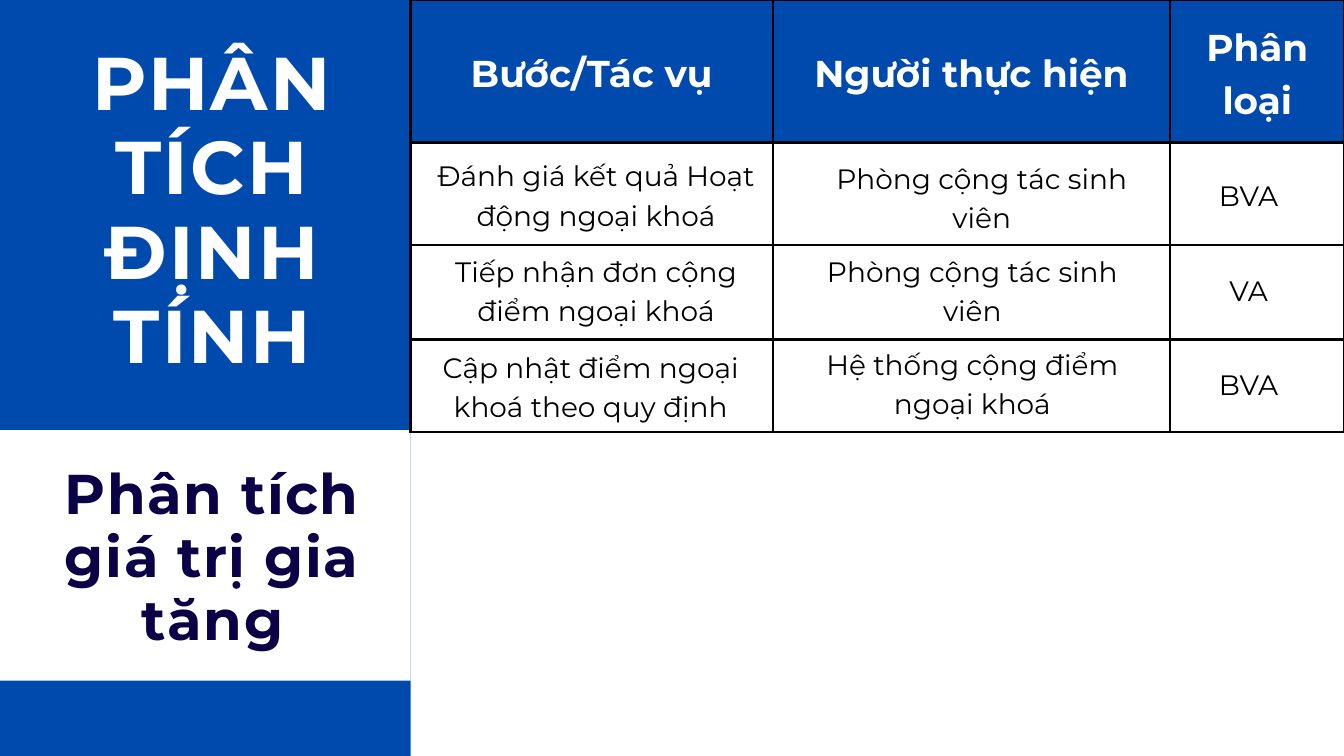
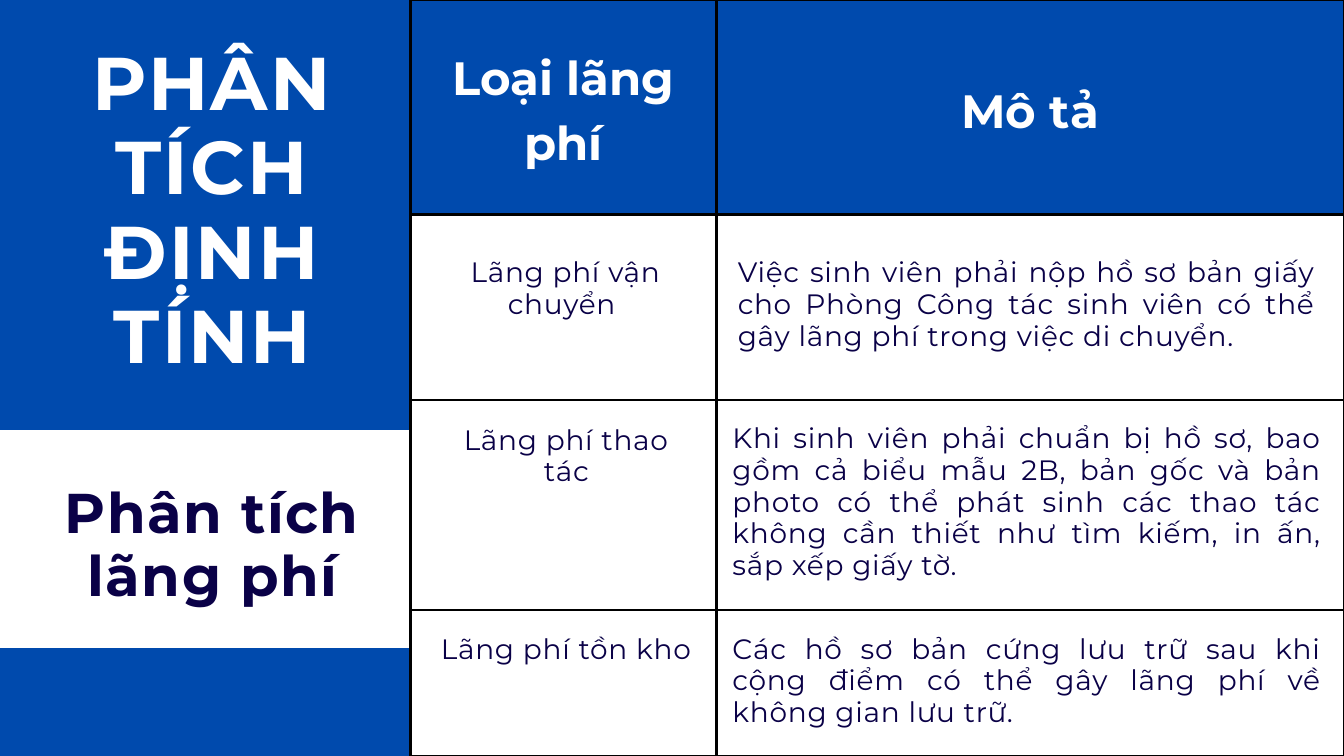
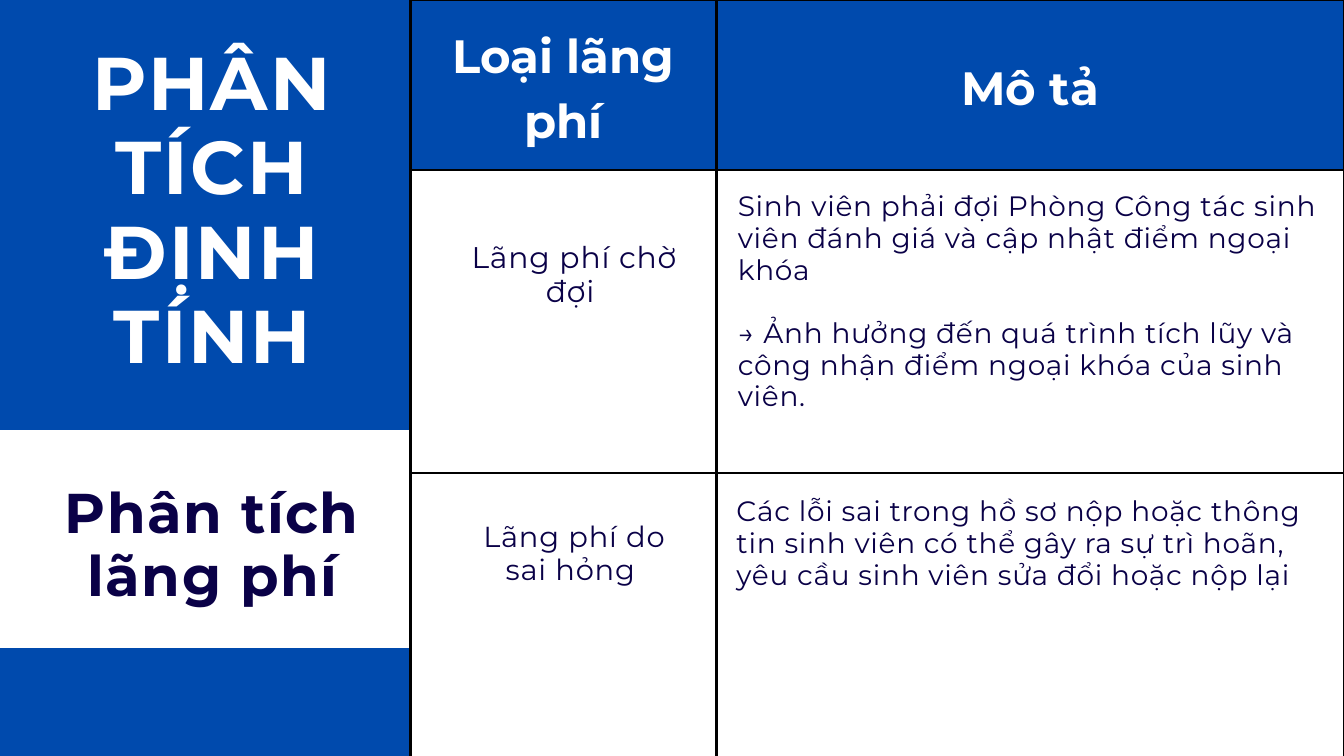
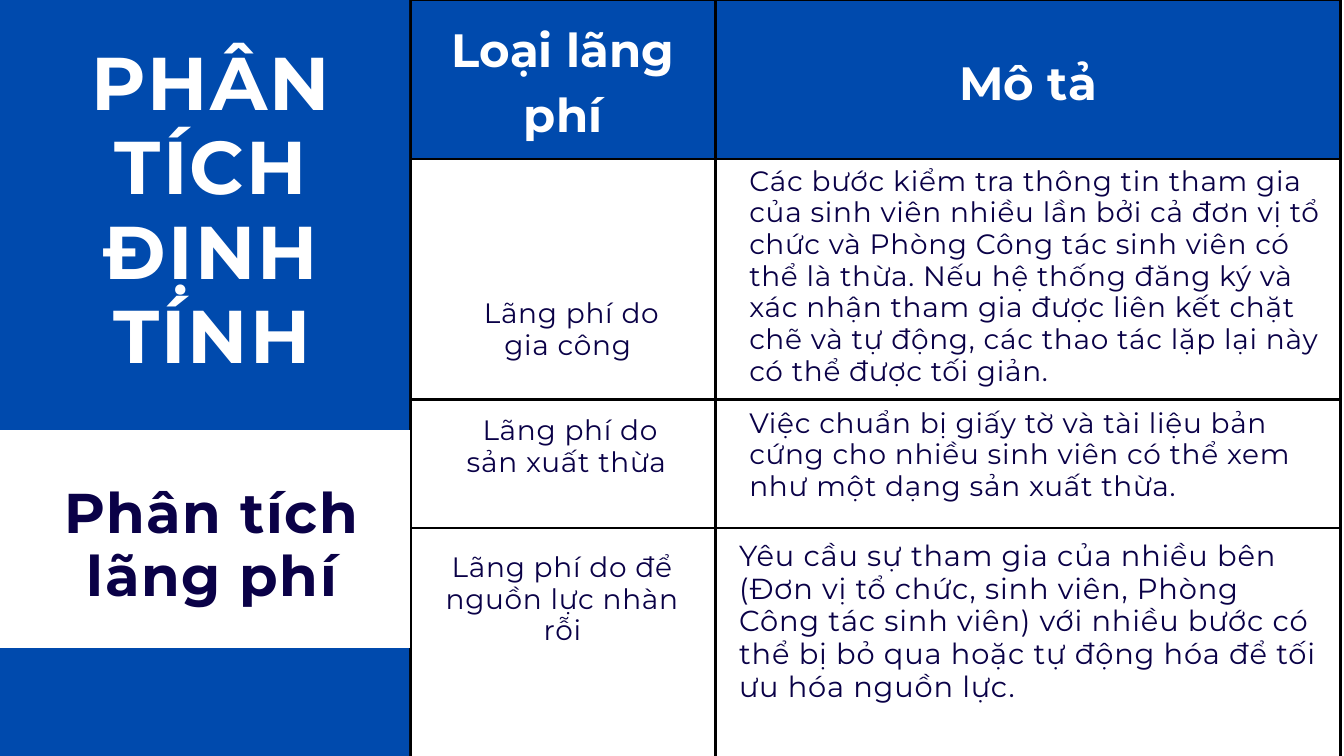
from dataclasses import dataclass, replace

from lxml.etree import SubElement
from pptx import Presentation
from pptx.dml.color import RGBColor
from pptx.enum.shapes import MSO_SHAPE
from pptx.enum.text import MSO_ANCHOR, MSO_AUTO_SIZE, PP_ALIGN
from pptx.oxml.ns import qn
from pptx.slide import Slide
from pptx.table import _Cell as Cell
from pptx.text.text import TextFrame
from pptx.util import Inches, Pt

BLUE = RGBColor(0x00, 0x4A, 0xAD)
NAVY = RGBColor(0x0A, 0x01, 0x47)
WHITE = RGBColor(0xFF, 0xFF, 0xFF)
BLACK = RGBColor(0x00, 0x00, 0x00)
FONT = "Montserrat"
TITLE = "PHÂN TÍCH ĐỊNH TÍNH"
SLIDE_HEIGHT = 11.25
BAND_TOP = 6.4
TABLE_LEFT = 6.11
CELL_MARGIN = Inches(0.21)
BORDER_WIDTH = Pt(3)


@dataclass(frozen=True)
class TextStyle:
    """Type settings; leading and tracking are multiples of the size."""

    size: int
    color: RGBColor = NAVY
    bold: bool = False
    align: PP_ALIGN = PP_ALIGN.CENTER
    leading: float = 1.13
    tracking: float = 0.028


@dataclass(frozen=True)
class Box:
    """A rectangle in inches."""

    left: float
    top: float
    width: float
    height: float


@dataclass(frozen=True)
class Note:
    """Text laid over a table cell."""

    box: Box
    text: str
    style: TextStyle


@dataclass(frozen=True)
class Sidebar:
    """The blue column on the left with its white subtitle band."""

    subtitle: str
    subtitle_top: float
    subtitle_height: float
    band: Box
    shift: float = 0


@dataclass(frozen=True)
class Grid:
    """A ruled table whose header row is the only one with cell text."""

    headers: tuple[str, ...]
    header_size: int
    columns: tuple[float, ...]
    rows: tuple[float, ...]


@dataclass(frozen=True)
class Page:
    """Everything on one slide."""

    sidebar: Sidebar
    grid: Grid
    notes: tuple[Note, ...]
    sidebar_in_front: bool = False


TITLE_STYLE = TextStyle(80, WHITE, bold=True)
SUBTITLE_STYLE = TextStyle(60, bold=True)
TASK = TextStyle(30, BLACK, leading=1.4, tracking=0)
KIND = TextStyle(30)
DETAIL = replace(KIND, align=PP_ALIGN.LEFT)
JUSTIFIED = replace(KIND, align=PP_ALIGN.JUSTIFY)

VALUE_SIDEBAR = Sidebar("Phân tích giá trị gia tăng", 6.88, 2.82, Box(-0.61, BAND_TOP, 6.72, 3.73))
WASTE_SIDEBAR = Sidebar("Phân tích lãng phí", 7.16, 1.88, Box(-0.61, BAND_TOP, 6.98, 3.24))
LAST_SIDEBAR = replace(WASTE_SIDEBAR, band=Box(-0.61, BAND_TOP, 6.73, 3.24), shift=-0.02)


def waste_grid(*rows: float, columns: tuple[float, float] = (4.55, 9.34)) -> Grid:
    """Return the grid that lists kinds of waste."""
    return Grid(("Loại lãng phí", "Mô tả"), 50, columns, rows)


PAGES = (
    Page(
        VALUE_SIDEBAR,
        Grid(("Bước/Tác vụ", "Người thực hiện", "Phân loại"), 40, (5.39, 5.91, 2.6), (2.12, 1.53, 1.4, 1.38)),
        (
            Note(Box(6.24, 2.28, 5.26, 1.15), "Đánh giá kết quả Hoạt động ngoại khoá", TASK),
            Note(Box(11.98, 2.32, 5.26, 1.15), "Phòng cộng tác sinh viên", TASK),
            Note(Box(17.88, 2.57, 1.4, 0.56), "BVA", TASK),
            Note(Box(6.32, 3.7, 5.1, 1.15), "Tiếp nhận đơn cộng điểm ngoại khoá", TASK),
            Note(Box(11.84, 3.7, 5.26, 1.15), "Phòng cộng tác sinh viên", TASK),
            Note(Box(17.88, 3.99, 1.4, 0.56), "VA", TASK),
            Note(Box(6.24, 5.13, 5.1, 1.15), "Cập nhật điểm ngoại khoá theo quy định", TASK),
            Note(Box(11.84, 5.09, 5.26, 1.15), "Hệ thống cộng điểm ngoại khoá", TASK),
            Note(Box(17.88, 5.38, 1.4, 0.56), "BVA", TASK),
        ),
    ),
    Page(
        WASTE_SIDEBAR,
        waste_grid(3.19, 2.76, 3.13, 2.17),
        (
            Note(Box(6.6, 3.82, 3.64, 0.94), "Lãng phí vận chuyển ", KIND),
            Note(
                Box(10.98, 3.82, 8.6, 1.43),
                "Việc sinh viên phải nộp hồ sơ bản giấy cho Phòng Công tác sinh viên "
                "có thể gây lãng phí trong việc di chuyển. ",
                JUSTIFIED,
            ),
            Note(Box(6.73, 6.31, 3.4, 0.94), "Lãng phí thao tác", KIND),
            Note(
                Box(10.9, 6.29, 8.77, 2.38),
                "Khi sinh viên phải chuẩn bị hồ sơ, bao gồm cả biểu mẫu 2B, bản gốc và bản photo "
                "có thể phát sinh các thao tác không cần thiết như tìm kiếm, in ấn, sắp xếp giấy tờ.",
                JUSTIFIED,
            ),
            Note(Box(6.16, 9.42, 4.53, 0.47), "Lãng phí tồn kho", KIND),
            Note(
                Box(10.9, 9.42, 8.77, 1.43),
                "Các hồ sơ bản cứng lưu trữ sau khi cộng điểm có thể gây lãng phí về không gian lưu trữ.",
                JUSTIFIED,
            ),
        ),
    ),
    Page(
        WASTE_SIDEBAR,
        waste_grid(2.53, 4.51, 4.85),
        (
            Note(Box(6.73, 3.58, 3.64, 1.51), "Lãng phí chờ đợi ", replace(KIND, size=32)),
            Note(
                Box(10.98, 2.84, 8.64, 3.81),
                "Sinh viên phải đợi Phòng Công tác sinh viên đánh giá và cập nhật điểm ngoại khóa\n"
                "→ Ảnh hưởng đến quá trình tích lũy và công nhận điểm ngoại khóa của sinh viên.",
                DETAIL,
            ),
            Note(Box(6.85, 7.75, 3.4, 0.98), "Lãng phí do sai hỏng ", replace(KIND, size=31)),
            Note(
                Box(10.96, 7.38, 8.64, 1.43),
                "Các lỗi sai trong hồ sơ nộp hoặc thông tin sinh viên có thể gây ra sự trì hoãn, "
                "yêu cầu sinh viên sửa đổi hoặc nộp lại",
                DETAIL,
            ),
        ),
    ),
    Page(
        LAST_SIDEBAR,
        waste_grid(2.25, 3.58, 1.91, 3.5, columns=(4.54, 9.3)),
        (
            Note(Box(6.81, 4.43, 3.4, 0.94), "Lãng phí do gia công ", KIND),
            Note(
                Box(11.15, 2.46, 8.64, 3.34),
                "Các bước kiểm tra thông tin tham gia của sinh viên nhiều lần bởi cả đơn vị tổ chức "
                "và Phòng Công tác sinh viên có thể là thừa. Nếu hệ thống đăng ký và xác nhận tham gia "
                "được liên kết chặt chẽ và tự động, các thao tác lặp lại này có thể được tối giản.",
                DETAIL,
            ),
            Note(Box(6.79, 6.17, 3.4, 0.94), "Lãng phí do sản xuất thừa ", KIND),
            Note(
                Box(11.15, 6.06, 8.64, 1.43),
                "Việc chuẩn bị giấy tờ và tài liệu bản cứng cho nhiều sinh viên có thể xem "
                "như một dạng sản xuất thừa.",
                DETAIL,
            ),
            Note(Box(6.55, 8.21, 3.64, 1.4), "Lãng phí do để nguồn lực nhàn rỗi", KIND),
            Note(
                Box(11, 8.03, 8.64, 2.45),
                "Yêu cầu sự tham gia của nhiều bên (Đơn vị tổ chức, sinh viên, Phòng Công tác sinh viên) "
                "với nhiều bước có thể bị bỏ qua hoặc tự động hóa để tối ưu hóa nguồn lực.",
                replace(DETAIL, size=31),
            ),
        ),
        sidebar_in_front=True,
    ),
)


def place(box: Box) -> tuple[int, int, int, int]:
    """Return the box as left, top, width and height lengths."""
    return Inches(box.left), Inches(box.top), Inches(box.width), Inches(box.height)


def write_text(frame: TextFrame, text: str, style: TextStyle) -> None:
    """Fill a frame, one paragraph a line, with a line's gap between paragraphs."""
    frame.text = text
    line_height = Pt(round(style.size * style.leading, 1))
    for index, paragraph in enumerate(frame.paragraphs):
        paragraph.alignment = style.align
        paragraph.line_spacing = line_height
        paragraph.space_before = line_height if index else Pt(0)
        font = paragraph.font
        font.name, font.size, font.bold = FONT, Pt(style.size), style.bold
        font.color.rgb = style.color
        if style.tracking:
            for run in paragraph.runs:
                run.font._element.set("spc", str(round(style.size * style.tracking, 1) * 100)[:-2])


def fit_frame(frame: TextFrame) -> None:
    """Give a frame no insets, top anchoring and wrapped, growing text."""
    frame.margin_left = frame.margin_right = frame.margin_top = frame.margin_bottom = 0
    frame.vertical_anchor = MSO_ANCHOR.TOP
    frame.word_wrap = True
    frame.auto_size = MSO_AUTO_SIZE.SHAPE_TO_FIT_TEXT


def add_note(slide: Slide, note: Note) -> None:
    """Add a text box."""
    frame = slide.shapes.add_textbox(*place(note.box)).text_frame
    fit_frame(frame)
    write_text(frame, note.text, note.style)


def add_panel(slide: Slide, box: Box, color: RGBColor) -> None:
    """Add a plain filled rectangle."""
    panel = slide.shapes.add_shape(MSO_SHAPE.RECTANGLE, *place(box))
    panel.shadow.inherit = False
    panel.fill.solid()
    panel.fill.fore_color.rgb = color
    panel.line.fill.background()


def add_sidebar(slide: Slide, sidebar: Sidebar) -> None:
    """Add the blue column, its band, the slide title and the subtitle."""
    band = replace(sidebar.band, left=sidebar.band.left + sidebar.shift)
    text_left = 0.22 + sidebar.shift / 2
    add_panel(slide, Box(-0.73 + sidebar.shift, 0, 6.84, SLIDE_HEIGHT), BLUE)
    add_panel(slide, band, WHITE)

    title = slide.shapes.title
    title.left, title.top, title.width, title.height = place(Box(text_left, 0.61, 5.89, 5.02))
    fit_frame(title.text_frame)
    write_text(title.text_frame, TITLE, TITLE_STYLE)
    title.element.getparent().append(title.element)

    subtitle_box = Box(text_left, sidebar.subtitle_top, 5.89, sidebar.subtitle_height)
    add_note(slide, Note(subtitle_box, sidebar.subtitle, SUBTITLE_STYLE))


def add_borders(cell: Cell) -> None:
    """Rule all four sides of a cell."""
    properties = cell._tc.get_or_add_tcPr()
    for side in ("a:lnL", "a:lnR", "a:lnT", "a:lnB"):
        line = SubElement(properties, qn(side), w=str(BORDER_WIDTH))
        fill = SubElement(line, qn("a:solidFill"))
        SubElement(fill, qn("a:srgbClr"), val=str(BLACK))


def add_grid(slide: Slide, grid: Grid) -> None:
    """Add the ruled table with its blue header row."""
    box = Box(TABLE_LEFT, 0, sum(grid.columns), sum(grid.rows))
    table = slide.shapes.add_table(len(grid.rows), len(grid.columns), *place(box)).table
    table.first_row = table.horz_banding = False
    for column, width in zip(table.columns, grid.columns):
        column.width = Inches(width)
    for row, height in zip(table.rows, grid.rows):
        row.height = Inches(height)
    for cell in table.iter_cells():
        add_borders(cell)
        cell.fill.background()

    style = TextStyle(grid.header_size, WHITE, bold=True, leading=1.4, tracking=0)
    for cell, header in zip(table.rows[0].cells, grid.headers):
        cell.fill.solid()
        cell.fill.fore_color.rgb = BLUE
        cell.vertical_anchor = MSO_ANCHOR.MIDDLE
        cell.margin_left = cell.margin_right = cell.margin_top = cell.margin_bottom = CELL_MARGIN
        write_text(cell.text_frame, header, style)


def main() -> None:
    """Build the presentation."""
    presentation = Presentation()
    presentation.slide_width = Inches(20)
    presentation.slide_height = Inches(SLIDE_HEIGHT)
    title_only = presentation.slide_layouts[5]
    for page in PAGES:
        slide = presentation.slides.add_slide(title_only)
        if page.sidebar_in_front:
            add_grid(slide, page.grid)
            add_sidebar(slide, page.sidebar)
        else:
            add_sidebar(slide, page.sidebar)
            add_grid(slide, page.grid)
        for note in page.notes:
            add_note(slide, note)
    presentation.save("out.pptx")


if __name__ == "__main__":
    main()
